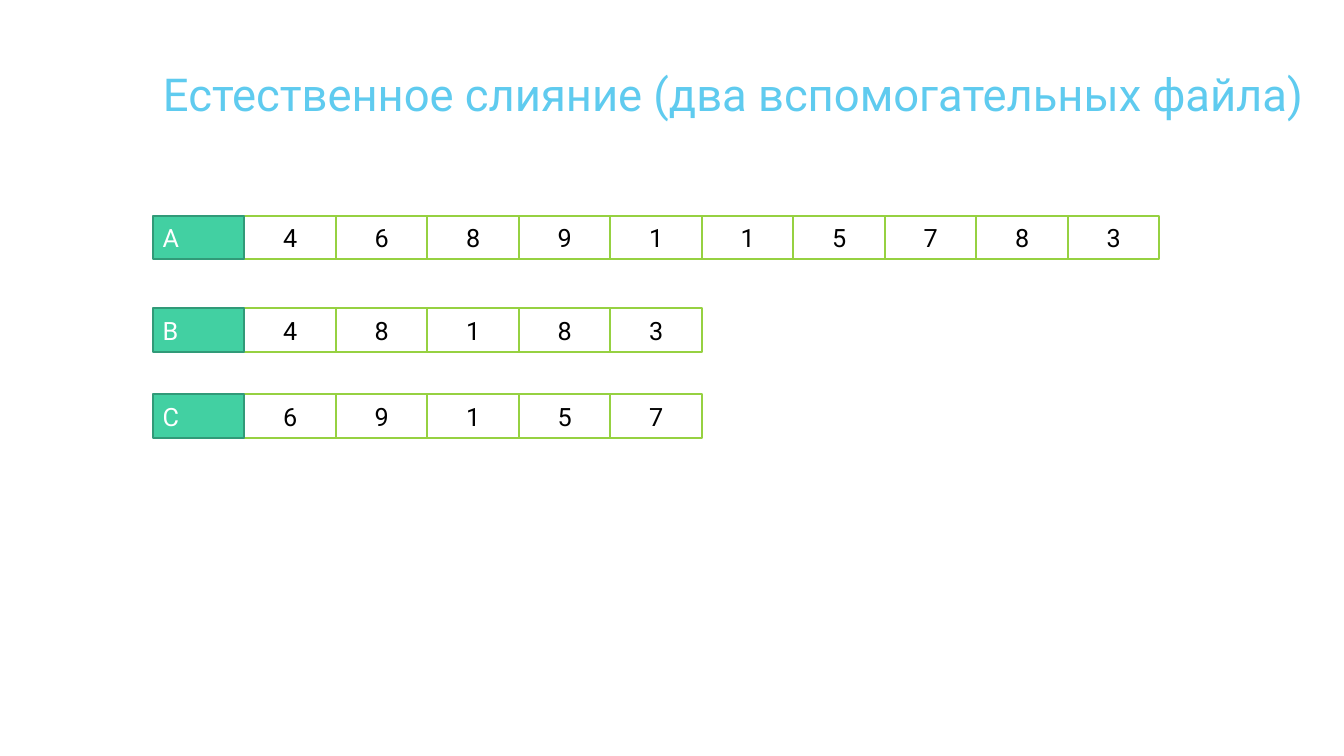
from pptx import Presentation
from pptx.dml.color import RGBColor
from pptx.enum.shapes import MSO_SHAPE
from pptx.enum.text import MSO_ANCHOR, MSO_AUTO_SIZE, PP_ALIGN
from pptx.util import Pt

RECT = MSO_SHAPE.RECTANGLE
TOP, MIDDLE = MSO_ANCHOR.TOP, MSO_ANCHOR.MIDDLE
LEFT, CENTER = PP_ALIGN.LEFT, PP_ALIGN.CENTER
NO_FIT = MSO_AUTO_SIZE.NONE

WHITE = RGBColor(0xFF, 0xFF, 0xFF)
BLACK = RGBColor(0x00, 0x00, 0x00)
SKY = RGBColor(0x5F, 0xCB, 0xEF)
LIME = RGBColor(0x96, 0xD1, 0x41)
GREEN = RGBColor(0x42, 0xD0, 0xA2)
DARK_GREEN = RGBColor(0x31, 0x9A, 0x78)

FONT = "Roboto"
MARGIN = 109.2
CELL_W, CELL_H = 65.36, 31

NUMBER = {"fill": WHITE, "line": LIME, "color": BLACK, "align": CENTER}
LABEL = {"fill": GREEN, "line": DARK_GREEN, "color": WHITE, "align": LEFT}

# File name, top of its row, numbers stored in it
FILES = [
    ("A", 154.1, [4, 6, 8, 9, 1, 1, 5, 7, 8, 3]),
    ("B", 220.3, [4, 8, 1, 8, 3]),
    ("C", 281.7, [6, 9, 1, 5, 7]),
]


def write(tf, text, size, color, align, anchor):
    tf.vertical_anchor = anchor
    p = tf.paragraphs[0]
    p.alignment = align
    r = p.add_run()
    r.text = text
    for name, value in {"name": FONT, "size": Pt(size)}.items():
        setattr(r.font, name, value)
    r.font.color.rgb = color


def add_title(s, text, x, y, w, h):
    sp = s.shapes.title
    box = {"left": x, "top": y, "width": w, "height": h}
    for name, value in box.items():
        setattr(sp, name, Pt(value))
    sp.text_frame.auto_size = NO_FIT
    write(sp.text_frame, text, 32.4, SKY, LEFT, TOP)


def add_cell(s, text, x, y, style):
    sp = s.shapes.add_shape(RECT, Pt(x), Pt(y), Pt(CELL_W), Pt(CELL_H))
    sp.shadow.inherit = False
    sp.fill.solid()
    sp.fill.fore_color.rgb = style["fill"]
    sp.line.color.rgb = style["line"]
    sp.line.width = Pt(1.5)
    write(sp.text_frame, text, 18, style["color"], style["align"], MIDDLE)


def add_file_row(s, name, numbers, x, y):
    """Draw the numbers first, so the label's border lies on top."""
    for i, number in enumerate(numbers, start=1):
        add_cell(s, str(number), x + i * CELL_W, y, NUMBER)
    add_cell(s, name, x, y, LABEL)


def main():
    prs = Presentation()
    prs.slide_width, prs.slide_height = Pt(960), Pt(540)
    s = prs.slides.add_slide(prs.slide_layouts[5])
    add_title(s, "Естественное слияние (два вспомогательных файла)",
              MARGIN, 44, 868, 70)
    for name, top, numbers in FILES:
        add_file_row(s, name, numbers, MARGIN, top)
    prs.save("out.pptx")


if __name__ == "__main__":
    main()
